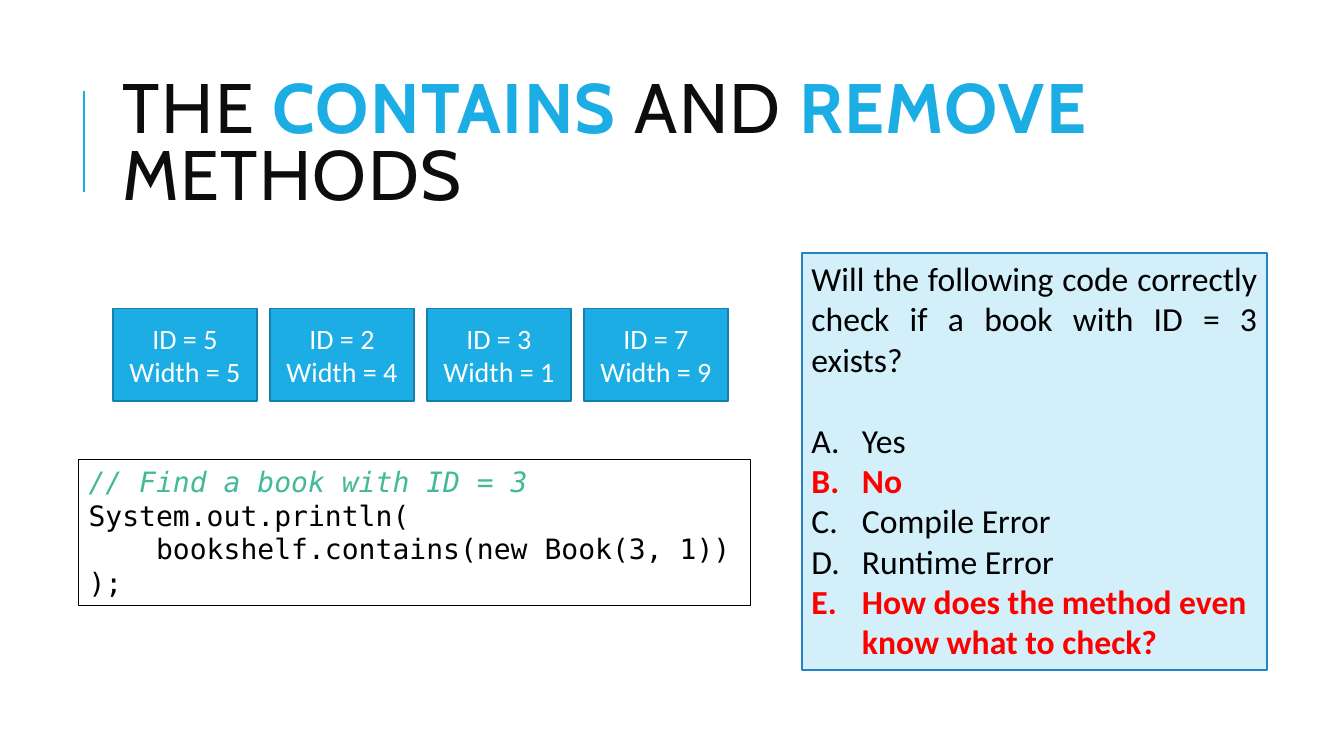
from dataclasses import dataclass

from lxml import etree
from pptx import Presentation
from pptx.dml.color import RGBColor
from pptx.enum.shapes import MSO_CONNECTOR, MSO_SHAPE
from pptx.enum.text import MSO_ANCHOR, MSO_AUTO_SIZE, PP_ALIGN
from pptx.oxml.ns import qn
from pptx.shapes.autoshape import Shape
from pptx.slide import Slide
from pptx.text.text import TextFrame, _Paragraph
from pptx.util import Inches, Pt

RECTANGLE = MSO_SHAPE.RECTANGLE
STRAIGHT = MSO_CONNECTOR.STRAIGHT
TOP, MIDDLE = MSO_ANCHOR.TOP, MSO_ANCHOR.MIDDLE
FIT_SHAPE = MSO_AUTO_SIZE.SHAPE_TO_FIT_TEXT
LEFT, CENTER, JUSTIFY = PP_ALIGN.LEFT, PP_ALIGN.CENTER, PP_ALIGN.JUSTIFY

WHITE = RGBColor(0xFF, 0xFF, 0xFF)
BLACK = RGBColor(0x00, 0x00, 0x00)
INK = RGBColor(0x0D, 0x0D, 0x0D)
SKY = RGBColor(0x1C, 0xAD, 0xE4)
DEEP_SKY = RGBColor(0x15, 0x80, 0xA9)
PALE_SKY = RGBColor(0xD2, 0xEF, 0xFA)
BLUE = RGBColor(0x26, 0x83, 0xC6)
GREEN = RGBColor(0x42, 0xBA, 0x97)
RED = RGBColor(0xFF, 0x00, 0x00)

TITLE_FORMAT = {"name": "Cabin", "size": Pt(50)}
BOOK_FORMAT = {"name": "Calibri", "size": Pt(20)}
QUIZ_FORMAT = {"name": "Calibri", "size": Pt(24)}
CODE_FORMAT = {"name": "DejaVu Sans Mono", "size": Pt(20)}


@dataclass(frozen=True)
class Box:
    left: float
    top: float
    width: float
    height: float
    fill: RGBColor | None
    line: RGBColor
    line_width: float


@dataclass(frozen=True)
class Book:
    identifier: int
    width: int


@dataclass(frozen=True)
class Answer:
    text: str
    marked: bool = False


@dataclass(frozen=True)
class CodeLine:
    text: str
    comment: bool = False
    indent: float = 0


BOOKS = [Book(5, 5), Book(2, 4), Book(3, 1), Book(7, 9)]
BOOK_LEFT, BOOK_STEP = 1.12, 1.557

QUIZ_BOX = Box(7.95, 2.51, 4.62, 4.14, PALE_SKY, BLUE, 1.5)
QUESTION = "Will the following code correctly check if a book with ID = 3 exists?"
ANSWERS = [
    Answer("Yes"),
    Answer("No", marked=True),
    Answer("Compile Error"),
    Answer("Runtime Error"),
    Answer("How does the method even know what to check?", marked=True),
]

CODE_BOX = Box(0.78, 4.56, 6.66, 1.45, None, BLACK, 0.75)
CODE_LINES = [
    CodeLine("// Find a book with ID = 3", comment=True),
    CodeLine("System.out.println("),
    CodeLine("bookshelf.contains(new Book(3, 1))", indent=0.67),
    CodeLine(");"),
]

TITLE_PARTS = [
    ("THE ", False),
    ("CONTAINS ", True),
    ("AND ", False),
    ("REMOVE ", True),
    ("METHODS", False),
]


def add_run(paragraph: _Paragraph, text: str, color: RGBColor, **font_format) -> None:
    run = paragraph.add_run()
    run.text = text
    for attribute, value in font_format.items():
        setattr(run.font, attribute, value)
    run.font.color.rgb = color


def next_paragraph(frame: TextFrame) -> _Paragraph:
    """Return the first paragraph while it is empty, otherwise a new one."""
    first = frame.paragraphs[0]
    paragraph = frame.add_paragraph() if first.runs else first
    paragraph.alignment = LEFT
    return paragraph


def set_indent(paragraph: _Paragraph, margin: float, first_line: float = 0) -> None:
    properties = paragraph._p.get_or_add_pPr()
    properties.set("marL", str(Inches(margin)))
    properties.set("indent", str(Inches(first_line)))


def add_box(slide: Slide, box: Box, anchor: MSO_ANCHOR) -> Shape:
    shape = slide.shapes.add_shape(
        RECTANGLE, Inches(box.left), Inches(box.top), Inches(box.width), Inches(box.height)
    )
    shape.shadow.inherit = False
    if box.fill is None:
        shape.fill.background()
    else:
        shape.fill.solid()
        shape.fill.fore_color.rgb = box.fill
    shape.line.color.rgb = box.line
    shape.line.width = Pt(box.line_width)
    shape.text_frame.word_wrap = True
    shape.text_frame.vertical_anchor = anchor
    return shape


def add_title(slide: Slide) -> None:
    rule = slide.shapes.add_connector(
        STRAIGHT, Inches(0.83), Inches(1.9), Inches(0.83), Inches(0.9)
    )
    rule.line.color.rgb = SKY
    rule.line.width = Pt(1.5)
    etree.SubElement(rule._element.spPr, qn("a:effectLst"))

    title = slide.shapes.add_textbox(Inches(1.12), Inches(0.64), Inches(10.63), Inches(1.64))
    frame = title.text_frame
    frame.word_wrap = True
    frame.vertical_anchor = MIDDLE
    paragraph = next_paragraph(frame)
    paragraph.line_spacing = 0.8
    for text, is_method in TITLE_PARTS:
        add_run(paragraph, text, SKY if is_method else INK, bold=is_method, **TITLE_FORMAT)
    for run in paragraph.runs:
        run.font._element.set("spc", "100")


def add_books(slide: Slide) -> None:
    for index, book in enumerate(BOOKS):
        left = BOOK_LEFT + index * BOOK_STEP
        shape = add_box(slide, Box(left, 3.06, 1.43, 0.92, SKY, DEEP_SKY, 1.25), MIDDLE)
        for text in (f"ID = {book.identifier}", f"Width = {book.width}"):
            paragraph = next_paragraph(shape.text_frame)
            paragraph.alignment = CENTER
            add_run(paragraph, text, WHITE, **BOOK_FORMAT)


def add_quiz(slide: Slide) -> None:
    frame = add_box(slide, QUIZ_BOX, TOP).text_frame
    frame.auto_size = FIT_SHAPE
    question = next_paragraph(frame)
    question.alignment = JUSTIFY
    question.space_after = Pt(29)
    add_run(question, QUESTION, BLACK, **QUIZ_FORMAT)
    for answer in ANSWERS:
        paragraph = next_paragraph(frame)
        set_indent(paragraph, 0.5, -0.5)
        numbering = etree.SubElement(paragraph._p.get_or_add_pPr(), qn("a:buAutoNum"))
        numbering.set("type", "alphaUcPeriod")
        color = RED if answer.marked else BLACK
        add_run(paragraph, answer.text, color, bold=answer.marked, **QUIZ_FORMAT)


def add_code(slide: Slide) -> None:
    frame = add_box(slide, CODE_BOX, TOP).text_frame
    frame.auto_size = FIT_SHAPE
    for line in CODE_LINES:
        paragraph = next_paragraph(frame)
        set_indent(paragraph, line.indent)
        color = GREEN if line.comment else BLACK
        add_run(paragraph, line.text, color, italic=line.comment, **CODE_FORMAT)


def main() -> None:
    presentation = Presentation()
    presentation.slide_width = Inches(13.33)
    presentation.slide_height = Inches(7.5)
    slide = presentation.slides.add_slide(presentation.slide_layouts[6])
    add_title(slide)
    add_books(slide)
    add_quiz(slide)
    add_code(slide)
    presentation.save("out.pptx")


if __name__ == "__main__":
    main()
